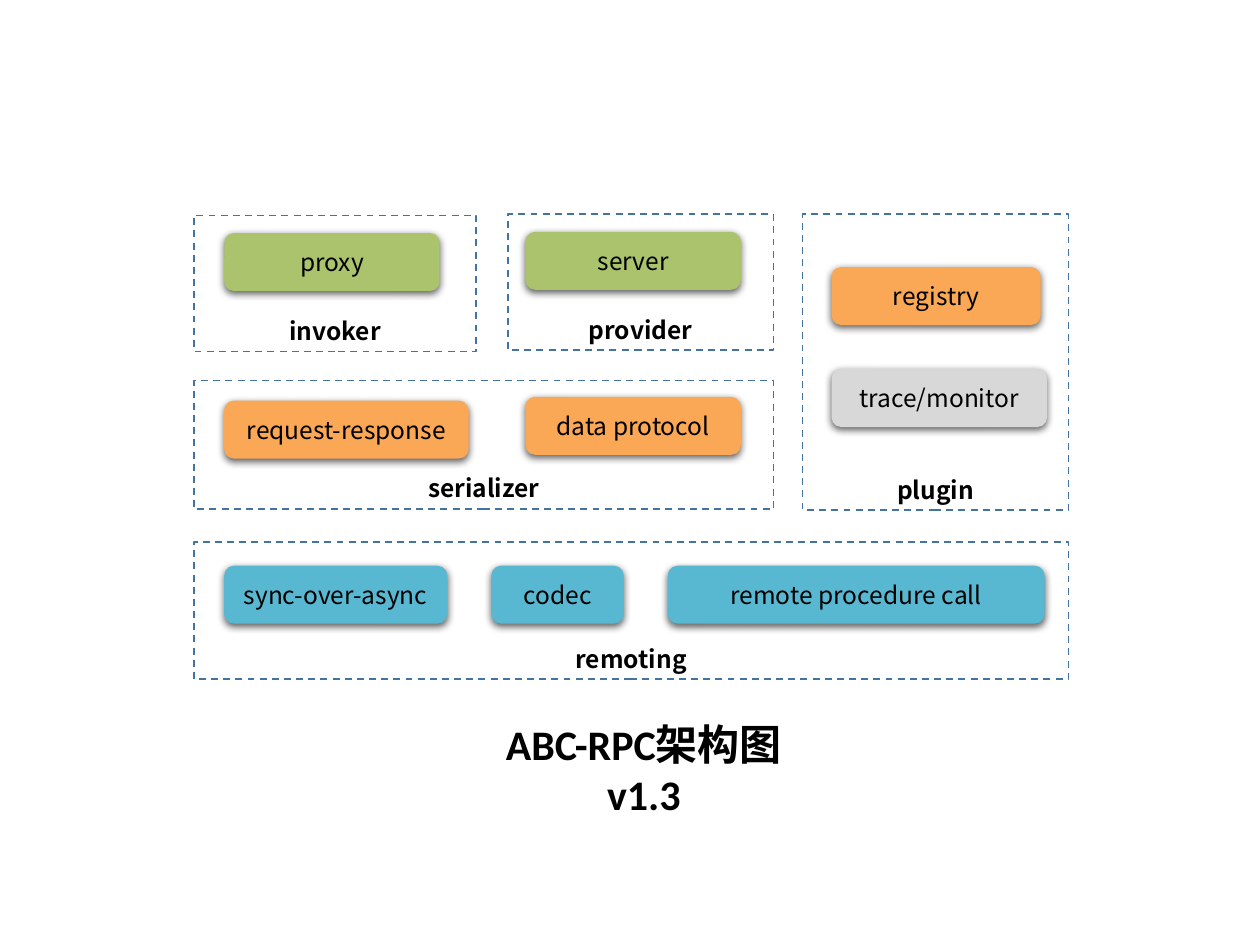
from pptx import Presentation
from pptx.dml.color import RGBColor as RGB
from pptx.enum.dml import MSO_LINE as Dash
from pptx.enum.shapes import MSO_SHAPE as Kind
from pptx.enum.text import MSO_ANCHOR as Anchor, MSO_AUTO_SIZE as Fit, PP_ALIGN as Align
from pptx.oxml import parse_xml
from pptx.oxml.ns import nsdecls, qn
from pptx.util import Inches, Pt

COLORS = {
    "text": "000000",
    "frame": "43739E",
    "green": "ABC36C",
    "orange": "FAA756",
    "gray": "D8D8D8",
    "blue": "58B8D1",
}
SHADOW = (
    f'<a:outerShdw {nsdecls("a")} blurRad="{Pt(4.5)}" dist="{Pt(1.5)}" '
    'dir="5400000" algn="ctr" rotWithShape="0">'
    '<a:srgbClr val="000000"><a:alpha val="63000"/></a:srgbClr></a:outerShdw>'
)


class Diagram:
    """Style and current slide of the diagram."""

    font = "Noto Sans CJK SC"
    size = 14
    high = 0.46  # height of every block

    def __init__(self, slide):
        self.slide = slide

    def color(self, name):
        return RGB.from_string(COLORS[name])

    def label(self, shape, text, anchor, bold=False, font=None, size=None):
        frame = shape.text_frame
        frame.text = text
        frame.word_wrap = True
        frame.auto_size = Fit.NONE
        frame.vertical_anchor = anchor
        para = frame.paragraphs[0]
        para.alignment = Align.CENTER
        for run in para.runs:
            run.font.name = font or self.font
            run.font.size = Pt(size or self.size)
            run.font.bold = bold
            run.font.color.rgb = self.color("text")

    def shape(self, kind, *box):
        shape = self.slide.shapes.add_shape(kind, *map(Inches, box))
        shape.shadow.inherit = False
        return shape

    def title(self, text, *box):
        shape = self.slide.shapes.title
        shape.left, shape.top, shape.width, shape.height = map(Inches, box)
        self.label(shape, text, Anchor.TOP, True, "Calibri", 24)

    def group(self, text, *box):
        shape = self.shape(Kind.RECTANGLE, *box)
        shape.fill.background()
        shape.line.color.rgb = self.color("frame")
        shape.line.width = Pt(1)
        shape.line.dash_style = Dash.DASH
        self.label(shape, text, Anchor.BOTTOM, True)

    def block(self, text, fill, left, top, width=1.71, kind=Kind.FLOWCHART_ALTERNATE_PROCESS):
        shape = self.shape(kind, left, top, width, self.high)
        shape.fill.solid()
        shape.fill.fore_color.rgb = self.color(fill)
        shape.line.fill.background()
        shape._element.spPr.find(qn("a:effectLst")).append(parse_xml(SHADOW))
        self.label(shape, text, Anchor.MIDDLE)


def main():
    deck = Presentation()
    deck.slide_width, deck.slide_height = Inches(10), Inches(7.5)
    art = Diagram(deck.slides.add_slide(deck.slide_layouts[5]))

    # Title below the diagram
    art.title("ABC-RPC架构图 v1.3", 3.59, 5.65, 3.04, 0.5)

    # Dashed groups
    for group in (
        ("invoker", 1.54, 1.71, 2.24, 1.08),
        ("provider", 4.03, 1.7, 2.11, 1.08),
        ("serializer", 1.54, 3.02, 4.6, 1.02),
        ("plugin", 6.37, 1.7, 2.11, 2.35),
        ("remoting", 1.54, 4.3, 6.94, 1.09),
    ):
        art.group(*group)

    # Blocks of the upper groups
    for block in (
        ("proxy", "green", 1.78, 1.85),
        ("server", "green", 4.17, 1.84),
        ("request-response", "orange", 1.78, 3.18, 1.94),
        ("data protocol", "orange", 4.17, 3.15),
        ("registry", "orange", 6.6, 2.12, 1.66),
        ("trace/monitor", "gray", 6.6, 2.93),
    ):
        art.block(*block)

    # Remoting row, with equal gaps
    left, gap = 1.78, 0.35
    for text, width in (
        ("sync-over-async", 1.77),
        ("codec", 1.05),
        ("remote procedure call", 2.99),
    ):
        art.block(text, "blue", left, 4.49, width, Kind.ROUNDED_RECTANGLE)
        left += width + gap

    deck.save("out.pptx")


if __name__ == "__main__":
    main()
